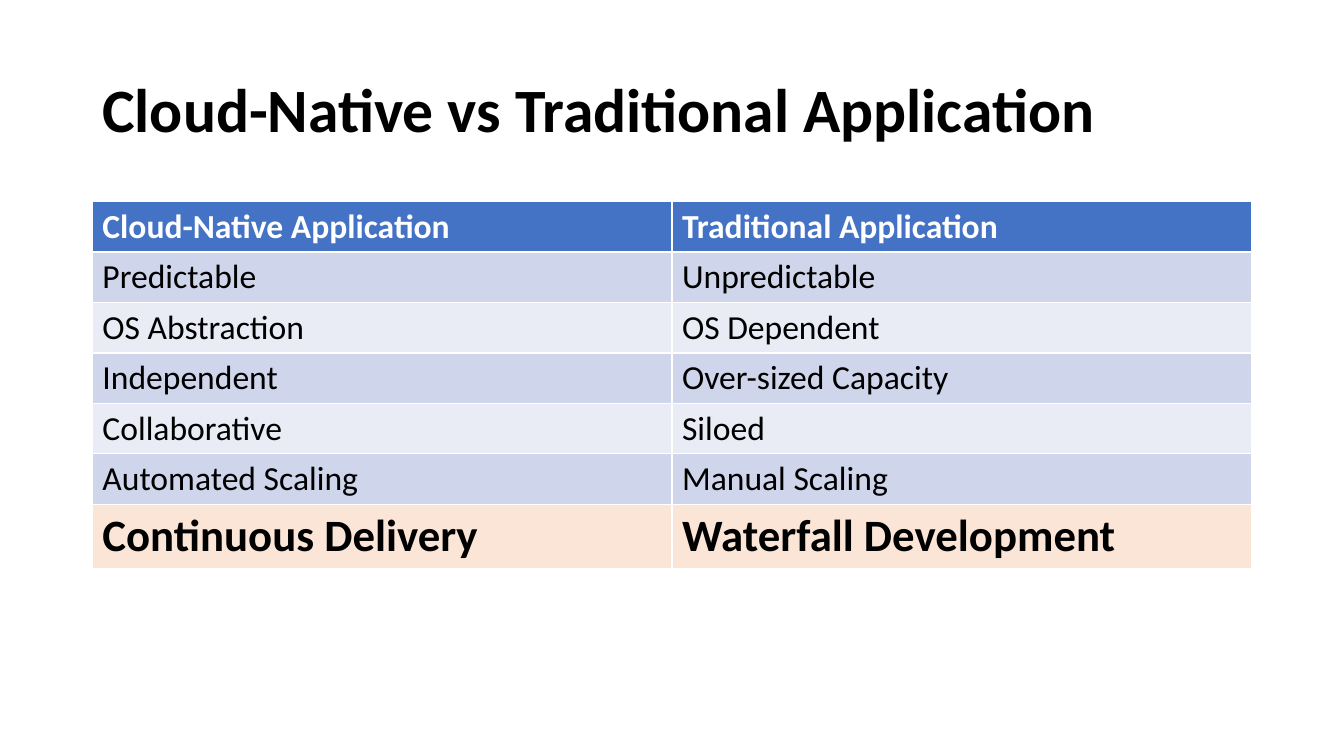
import pptx
import pptx.dml.color
import pptx.enum.text
import pptx.util

RGBColor = pptx.dml.color.RGBColor
BLACK = RGBColor(0x00, 0x00, 0x00)
WHITE = RGBColor(0xFF, 0xFF, 0xFF)
HEADER_BLUE = RGBColor(0x44, 0x72, 0xC4)
BANDS = (RGBColor(0xCF, 0xD5, 0xEA), RGBColor(0xE9, 0xEB, 0xF5))
HIGHLIGHT_PEACH = RGBColor(0xFB, 0xE5, 0xD6)

FONT = "Calibri"
EMU_PER_PX = 9525

COMPARISON = [
    ("Cloud-Native Application", "Traditional Application"),
    ("Predictable", "Unpredictable"),
    ("OS Abstraction", "OS Dependent"),
    ("Independent", "Over-sized Capacity"),
    ("Collaborative", "Siloed"),
    ("Automated Scaling", "Manual Scaling"),
    ("Continuous Delivery", "Waterfall Development"),
]


def px(length):
    return pptx.util.Emu(length * EMU_PER_PX)


def write(frame, text, size, color, bold):
    frame.text = text
    paragraph = frame.paragraphs[0]
    font = paragraph.runs[0].font
    font.name = FONT
    font.size = pptx.util.Pt(size)
    font.bold = bold
    font.color.rgb = color
    return paragraph


def add_title(slide, left, top, width, height):
    title = slide.shapes.add_textbox(px(left), px(top), px(width), px(height))
    frame = title.text_frame
    frame.word_wrap = True
    frame.vertical_anchor = pptx.enum.text.MSO_ANCHOR.MIDDLE
    heading = write(frame, "Cloud-Native vs Traditional Application", 44, BLACK, True)
    heading.line_spacing = 0.9


def row_style(index):
    """Return fill, text colour, text size and boldness of a table row."""
    if index == 0:
        return HEADER_BLUE, WHITE, 24, True
    if index == len(COMPARISON) - 1:
        return HIGHLIGHT_PEACH, BLACK, 32, True
    return BANDS[(index - 1) % 2], BLACK, 24, False


def add_comparison(slide, left, top, width, height):
    """Add the table; its last row is taller and takes the height left over."""
    row_height = 48
    last = len(COMPARISON) - 1
    table = slide.shapes.add_table(
        len(COMPARISON), 2, px(left), px(top), px(width), px(height)
    ).table
    for index, texts in enumerate(COMPARISON):
        fill, color, size, bold = row_style(index)
        table.rows[index].height = px(row_height if index < last else height - last * row_height)
        for cell, text in zip(table.rows[index].cells, texts):
            cell.fill.solid()
            cell.fill.fore_color.rgb = fill
            write(cell.text_frame, text, size, color, bold)


def main():
    deck = pptx.Presentation()
    deck.slide_width, deck.slide_height = px(1280), px(720)
    slide = deck.slides.add_slide(deck.slide_layouts[6])
    add_title(slide, 88, 38, 1104, 139)
    add_comparison(slide, 88, 192, 1104, 348)
    deck.save("out.pptx")


if __name__ == "__main__":
    main()
